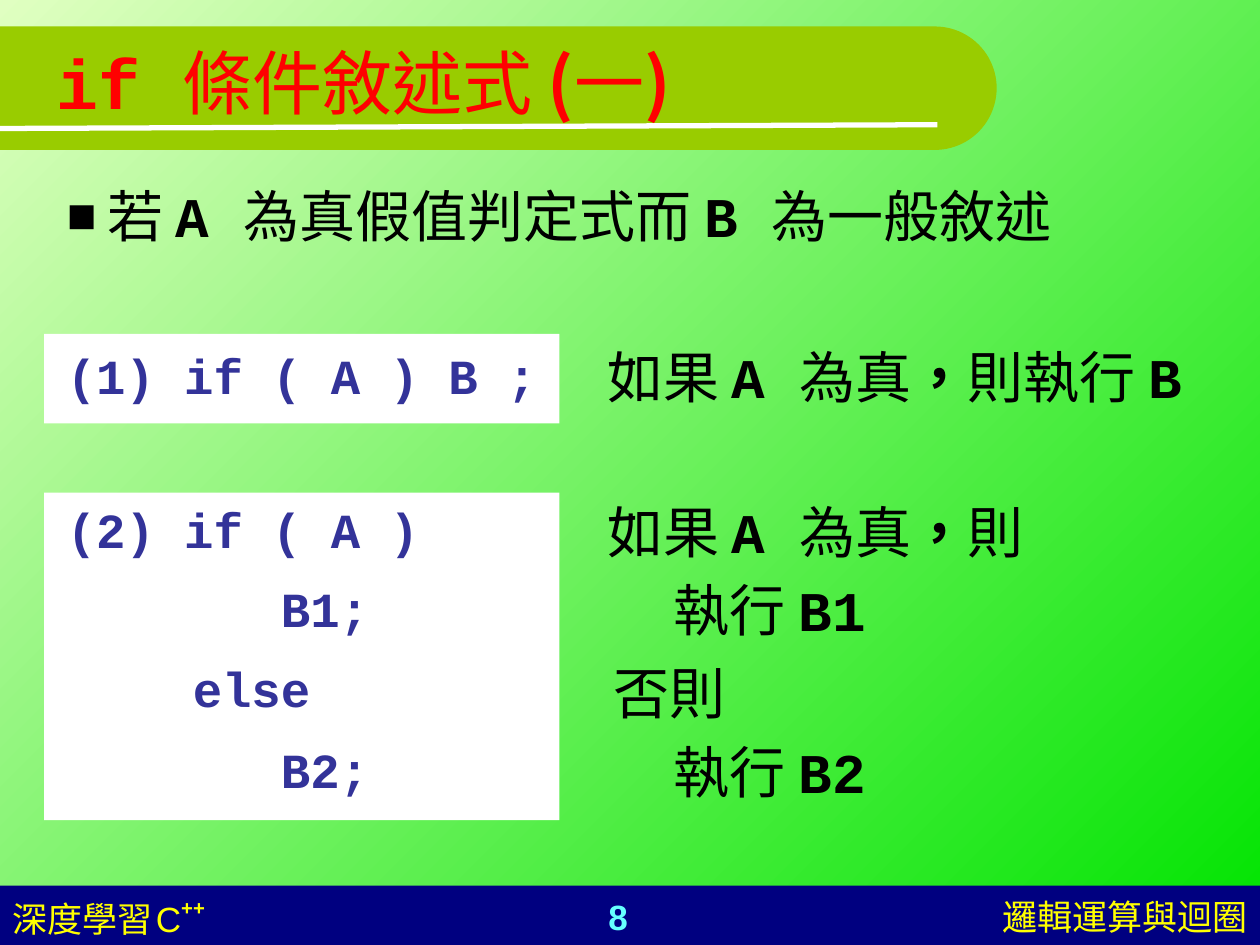
from lxml import etree
from pptx import Presentation
from pptx import util as u
from pptx.dml.color import RGBColor
from pptx.enum import shapes, text
from pptx.oxml.ns import qn

COLS, ROWS = 100, 75
BLACK = RGBColor(0, 0, 0)
WHITE = RGBColor(255, 255, 255)
RED = RGBColor(255, 0, 0)
YELLOW = RGBColor(255, 255, 0)
CYAN = RGBColor(0x66, 0xFF, 0xFF)
NAVY = RGBColor(0, 0, 0x80)
INDIGO = RGBColor(0x33, 0x33, 0x99)
OLIVE = RGBColor(0x99, 0xCC, 0)
PALE = RGBColor(0xE0, 0xFF, 0xC1)
GREEN = RGBColor(0, 0xE4, 0)
SANS, MONO, CJK = "Arial", "Courier New", "Noto Sans CJK SC"
LEFT, MID, RIGHT = text.PP_ALIGN.LEFT, text.PP_ALIGN.CENTER, text.PP_ALIGN.RIGHT

CODE = (28, MONO, INDIGO, True)
VAR = (32, MONO, BLACK, True)
WORD = (32, SANS, BLACK, False)
MIXED = (32, MONO, BLACK, False)


def grid(*cells):
    return [u.Inches(cell / 10) for cell in cells]


def style(font, size, name, color, bold):
    font.size, font.name, font.bold = u.Pt(size), name, bold
    font.color.rgb = color


def add_runs(para, parts):
    for words, look in parts:
        run = para.add_run()
        run.text = words
        style(run.font, *look)
        run._r.get_or_add_rPr().set("lang", "zh-TW")


def add_block(slide, kind, box, color):
    block = slide.shapes.add_shape(kind, *grid(*box))
    block.shadow.inherit = False
    block.fill.solid()
    block.fill.fore_color.rgb = color
    block.line.fill.background()
    return block


def set_indent(para, left, bullet=None):
    props = para._p.get_or_add_pPr()
    props.set("marL", str(u.Inches(left)))
    props.set("indent", str(u.Inches(-left if bullet else 0)))
    if bullet:
        etree.SubElement(props, qn("a:buSzPct"), val="87500")
        etree.SubElement(props, qn("a:buChar"), char=bullet)
    else:
        etree.SubElement(props, qn("a:buNone"))


def place(holder, box, anchor):
    holder.left, holder.top, holder.width, holder.height = grid(*box)
    frame = holder.text_frame
    frame.word_wrap = True
    frame.auto_size = text.MSO_AUTO_SIZE.NONE
    frame.vertical_anchor = anchor
    return frame.paragraphs[0]


def add_back(slide):
    fill = slide.background.fill
    fill.gradient()
    fill.gradient_angle = 315
    for stop, color in zip(fill.gradient_stops, (PALE, GREEN)):
        stop.color.rgb = color


def add_head(slide, box):
    left, top, width, height = box
    turned = (left + (width - height) / 2, top - (width - height) / 2, height, width)
    band = add_block(slide, shapes.MSO_SHAPE.ROUND_2_SAME_RECTANGLE, turned, OLIVE)
    band.adjustments[0] = 0.5
    band.rotation = 90
    ends = grid(left, top + 8.1, left + 74.4, top + 7.8)
    rule = slide.shapes.add_connector(shapes.MSO_CONNECTOR.STRAIGHT, *ends)
    rule.line.color.rgb = WHITE
    rule.line.width = u.Pt(3)
    etree.SubElement(rule._element.spPr, qn("a:effectLst"))


def add_title(slide, box):
    para = place(slide.shapes.title, box, text.MSO_ANCHOR.MIDDLE)
    para.alignment = LEFT
    parts = (("if ", MONO, True), ("條件敘述式 ", SANS, False),
             ("(", CJK, True), ("一", CJK, False), (")", CJK, True))
    add_runs(para, [(words, (40, name, RED, bold)) for words, name, bold in parts])


def add_body(slide, box):
    holder = slide.placeholders[1]
    lead = place(holder, box, text.MSO_ANCHOR.TOP)
    set_indent(lead, 0.32, "■")
    lead.space_before = u.Pt(0)
    add_runs(lead, [("若 ", MIXED), ("A ", VAR), ("為真假值判定式而 ", MIXED),
                    ("B ", VAR), ("為一般敘述", MIXED)])
    lines = ((51, 0, "(1) if ( A ) B ;"), (50, 0, "(2) if ( A )"),
             (7, 1.7, "B1;"), (8, 1, "else"), (8, 1.7, "B2;"))
    for gap, left, code in lines:
        para = holder.text_frame.add_paragraph()
        set_indent(para, left)
        para.space_before = u.Pt(gap)
        para.line_spacing = u.Pt(38)
        add_runs(para, [(code, CODE)])


def add_sense(slide, box):
    given = [("如果 ", MIXED), ("A ", VAR), ("為真", MIXED), ("，", VAR)]
    lines = (
        (0, 0, given + [("則執行 ", MIXED), ("B", VAR)]),
        (50, 0, given + [("則", WORD)]),
        (6, 0.53, [("執行 ", WORD), ("B1", VAR)]),
        (9, 0.05, [("否則", WORD)]),
        (7, 0.53, [("執行 ", WORD), ("B2", VAR)]),
    )
    frame = slide.shapes.add_textbox(*grid(*box)).text_frame
    frame.word_wrap = True
    for row, (gap, left, parts) in enumerate(lines):
        para = frame.add_paragraph() if row else frame.paragraphs[0]
        set_indent(para, left)
        para.space_before = u.Pt(gap)
        add_runs(para, parts)


def add_note(slide, box, align):
    frame = slide.shapes.add_textbox(*grid(*box)).text_frame
    frame.word_wrap = True
    para = frame.paragraphs[0]
    para.alignment = align
    return para


def add_foot(slide, box):
    left, top, width, height = box
    add_block(slide, shapes.MSO_SHAPE.RECTANGLE, box, NAVY)
    top += 0.3
    page = add_note(slide, (left + 37.4, top, 23.3, 4.4), MID)
    page.text = "8"
    style(page.font, 20, SANS, CYAN, True)
    topic = add_note(slide, (left + width - 32.7, top, 32.7, 4.4), RIGHT)
    topic.text = "邏輯運算與迴圈"
    style(topic.font, 20, SANS, YELLOW, False)
    course = add_note(slide, (left, top, 35.8, 4.4), LEFT)
    parts = (("深度學習", 20, False), (" ", 8, False), ("C", 20, False), ("++", 20, True))
    add_runs(course, [(words, (size, SANS, YELLOW, bold)) for words, size, bold in parts])
    course.runs[-1]._r.get_or_add_rPr().set("baseline", "46000")


def main():
    deck = Presentation()
    deck.slide_width, deck.slide_height = grid(COLS, ROWS)
    slide = deck.slides.add_slide(deck.slide_layouts[1])
    add_back(slide)
    add_foot(slide, (0, 70.3, COLS, 4.7))
    add_head(slide, (0, 2.1, 79.1, 9.8))
    for top, height in ((39.1, 26), (26.5, 7.1)):
        add_block(slide, shapes.MSO_SHAPE.RECTANGLE, (3.5, top, 40.9, height), WHITE)
    add_title(slide, (3.5, 2.1, 56.7, 8.7))
    add_body(slide, (4.3, 13.9, 94.5, 53.5))
    tree = slide.shapes._spTree
    for holder in list(slide.placeholders):
        tree.append(holder._element)
    add_sense(slide, (47.2, 26.7, 51.6, 38.4))
    deck.save("out.pptx")


if __name__ == "__main__":
    main()
